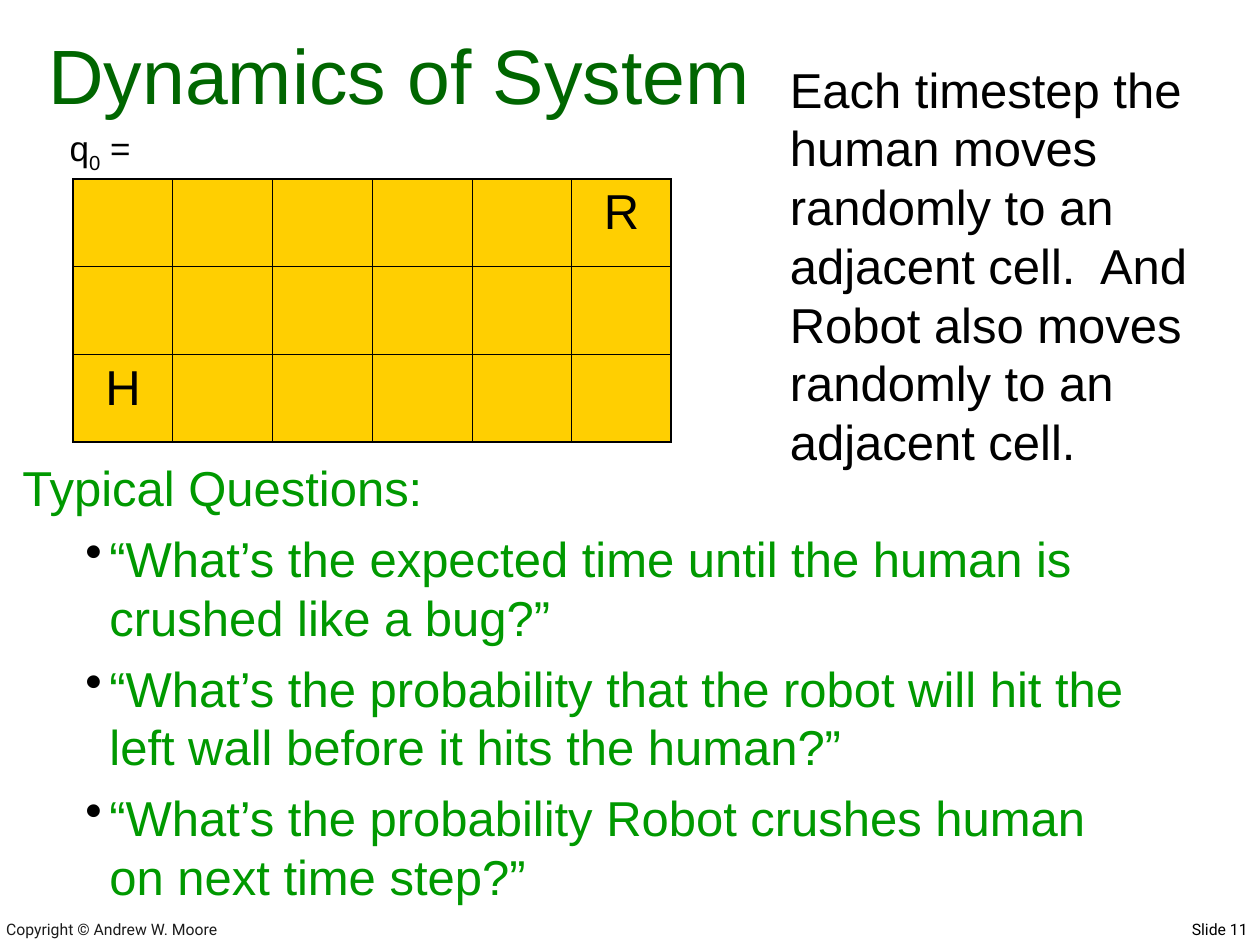
from lxml import etree
from pptx import Presentation
from pptx.dml.color import RGBColor
from pptx.enum.text import MSO_ANCHOR, PP_ALIGN
from pptx.oxml.ns import qn
from pptx.util import Inches, Pt

LEFT, CENTER, RIGHT = PP_ALIGN.LEFT, PP_ALIGN.CENTER, PP_ALIGN.RIGHT
TOP, BOTTOM = MSO_ANCHOR.TOP, MSO_ANCHOR.BOTTOM

BLACK = "000000"
FOOTER_GRAY = "1C1C1C"
TITLE_GREEN = "006600"
QUESTION_GREEN = "009900"
CELL_YELLOW = "FFCF01"

BODY_SIZE = 28
LINE_FACTOR = 1.2
ROWS, COLUMNS = 3, 6
OCCUPANTS = {(0, 5): "R", (2, 0): "H"}
INNER_BORDER, OUTER_BORDER = 0.45, 1.08
QUESTIONS = [
    "“What’s the expected time until the human is crushed like a bug?”",
    "“What’s the probability that the robot will hit the left wall before it hits the human?”",
    "“What’s the probability Robot crushes human on next time step?”",
]


def color(hex_string):
    return RGBColor.from_string(hex_string)


def add_run(paragraph, text, size, hex_color, font="Arial"):
    run = paragraph.add_run()
    run.text = text
    run.font.size = Pt(size)
    run.font.name = font
    run.font.color.rgb = color(hex_color)
    return run


def add_text_frame(slide, box, anchor=TOP):
    """Add a wrapping text box at (left, top, width, height) in inches."""
    shape = slide.shapes.add_textbox(*(Inches(length) for length in box))
    frame = shape.text_frame
    frame.word_wrap = True
    frame.vertical_anchor = anchor
    return frame


def add_line(slide, box, text, size, hex_color, font="Arial", align=LEFT, anchor=TOP):
    """Add a text box with one paragraph of one run."""
    paragraph = add_text_frame(slide, box, anchor).paragraphs[0]
    paragraph.alignment = align
    add_run(paragraph, text, size, hex_color, font)
    return paragraph


def add_footer(slide):
    add_line(slide, (-0.05, 7.22, 5.55, 0.28), "Copyright © Andrew W. Moore",
             9, FOOTER_GRAY, "Roboto", anchor=BOTTOM)
    add_line(slide, (6.08, 7.25, 3.92, 0.27), "Slide 11", 9, BLACK, "Roboto", RIGHT)


def add_bullet(paragraph):
    properties = paragraph._p.get_or_add_pPr()
    properties.set("marL", str(Inches(0.69)))
    properties.set("indent", str(Inches(-0.19)))
    bullet_color = etree.SubElement(properties, qn("a:buClr"))
    etree.SubElement(bullet_color, qn("a:srgbClr"), val=BLACK)
    etree.SubElement(properties, qn("a:buChar"), char="•")


def set_borders(cell, row, column):
    """Draw the cell's four borders, heavier along the edge of the grid."""
    on_edge = {
        "a:lnL": column == 0,
        "a:lnR": column == COLUMNS - 1,
        "a:lnT": row == 0,
        "a:lnB": row == ROWS - 1,
    }
    properties = cell._tc.get_or_add_tcPr()
    for tag, outer in on_edge.items():
        width = Pt(OUTER_BORDER if outer else INNER_BORDER)
        line = etree.SubElement(properties, qn(tag), w=str(width))
        fill = etree.SubElement(line, qn("a:solidFill"))
        etree.SubElement(fill, qn("a:srgbClr"), val=BLACK)


def add_world_grid(slide, box):
    frame = slide.shapes.add_table(ROWS, COLUMNS, *(Inches(length) for length in box))
    table = frame.table
    table.first_row = False
    table.horz_banding = False
    for row in range(ROWS):
        for column in range(COLUMNS):
            cell = table.cell(row, column)
            set_borders(cell, row, column)
            cell.fill.solid()
            cell.fill.fore_color.rgb = color(CELL_YELLOW)
            if (row, column) in OCCUPANTS:
                paragraph = cell.text_frame.paragraphs[0]
                paragraph.alignment = CENTER
                add_run(paragraph, OCCUPANTS[row, column], BODY_SIZE, BLACK)


def add_state_label(slide, box):
    paragraph = add_line(slide, box, "q", 20, BLACK, align=CENTER)
    paragraph.line_spacing = Pt(20 * LINE_FACTOR)
    subscript = add_run(paragraph, "0", 20, BLACK)
    subscript.font._element.set("baseline", "-25000")
    add_run(paragraph, " =", 20, BLACK)


def add_questions(slide, box):
    frame = add_text_frame(slide, box)
    heading = frame.paragraphs[0]
    add_run(heading, "Typical Questions:", BODY_SIZE, QUESTION_GREEN)
    for question in QUESTIONS:
        paragraph = frame.add_paragraph()
        paragraph.level = 1
        add_bullet(paragraph)
        paragraph.space_before = Pt(7)
        add_run(paragraph, question, BODY_SIZE, QUESTION_GREEN)
    for paragraph in frame.paragraphs:
        paragraph.line_spacing = Pt(BODY_SIZE * LINE_FACTOR)


def add_rules(slide, box):
    paragraph = add_line(
        slide, box,
        "Each timestep the human moves randomly to an adjacent cell.  "
        "And Robot also moves randomly to an adjacent cell.",
        BODY_SIZE, BLACK)
    paragraph.line_spacing = Pt(BODY_SIZE * LINE_FACTOR)


def main():
    presentation = Presentation()
    presentation.slide_width = Inches(10)
    presentation.slide_height = Inches(7.5)
    slide = presentation.slides.add_slide(presentation.slide_layouts[6])

    add_footer(slide)
    add_line(slide, (0.17, 0.17, 6, 0.83), "Dynamics of System",
             44, TITLE_GREEN, align=CENTER, anchor=BOTTOM)
    add_world_grid(slide, (0.58, 1.42, 4.75, 2.09))
    add_state_label(slide, (0.17, 1, 1.25, 0.48))
    add_questions(slide, (0.08, 3.58, 9.08, 3.66))
    add_rules(slide, (6.17, 0.42, 3.75, 3.37))
    presentation.save("out.pptx")


if __name__ == "__main__":
    main()
